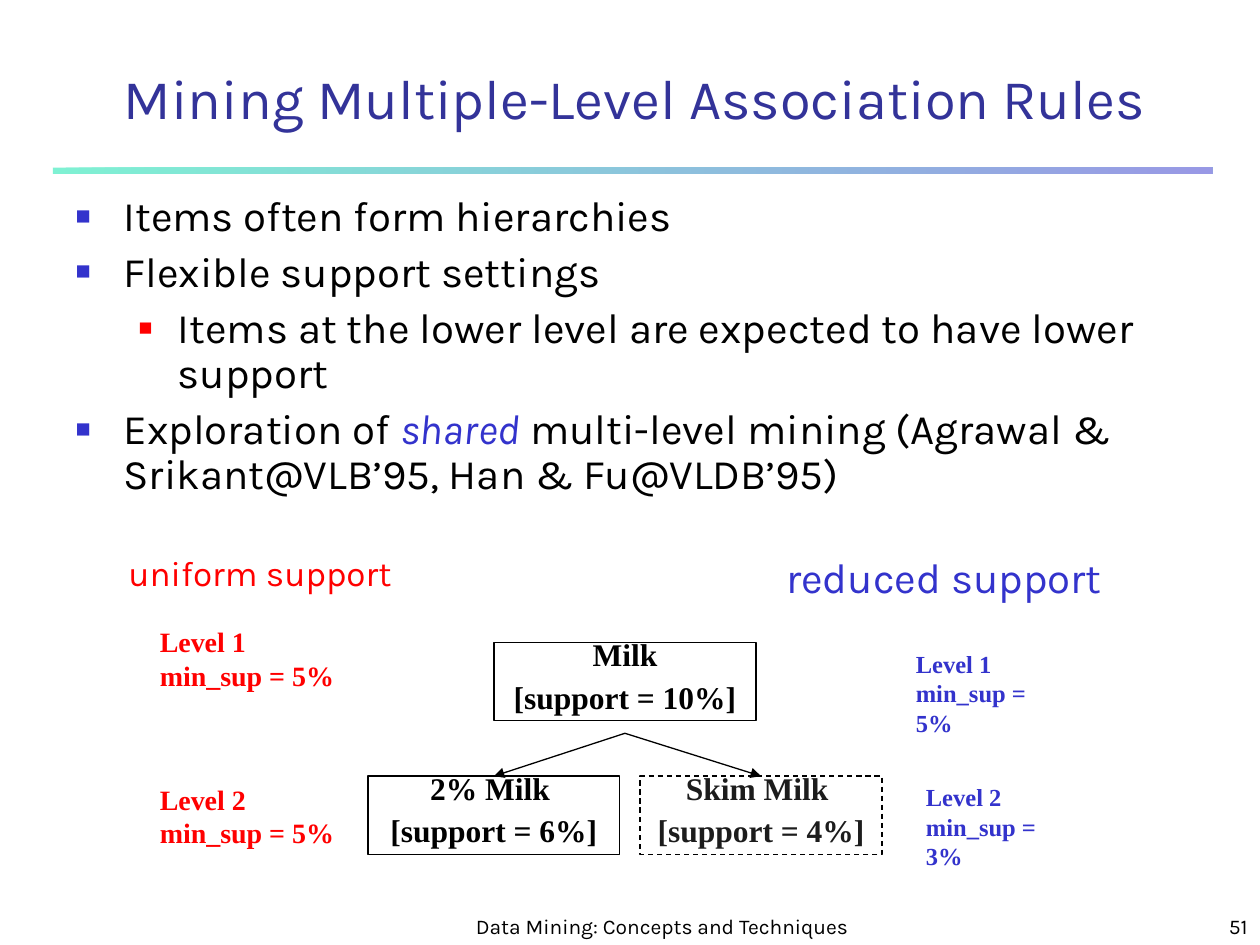
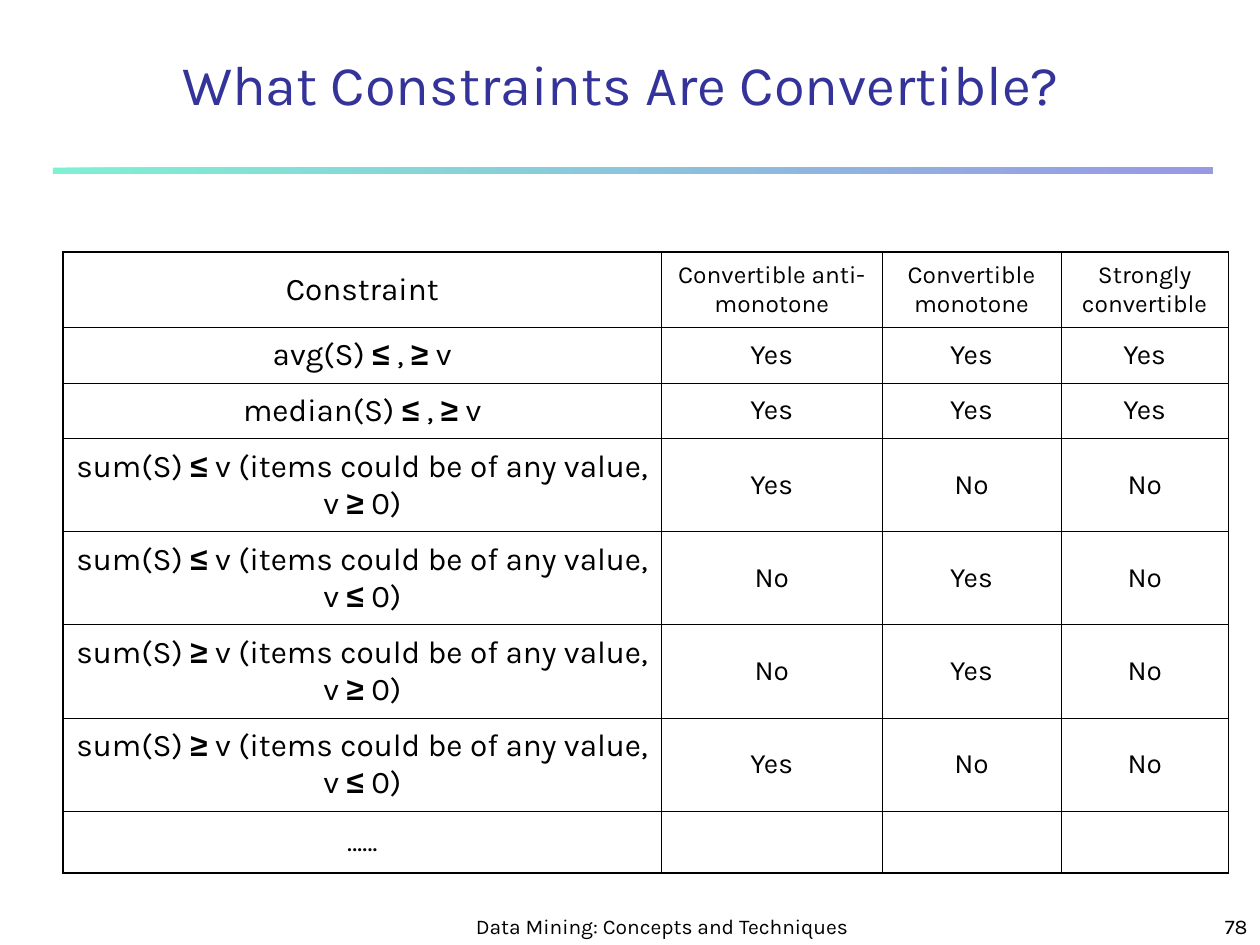
from dataclasses import dataclass
from itertools import groupby

from lxml.etree import SubElement
from pptx import Presentation
from pptx.dml.color import RGBColor as RGB
from pptx.enum.dml import MSO_LINE
from pptx.enum.shapes import MSO_CONNECTOR, MSO_SHAPE
from pptx.enum.text import MSO_ANCHOR as ANCHOR, MSO_AUTO_SIZE, PP_ALIGN as ALIGN
from pptx.oxml.ns import qn
from pptx.util import Inches, Pt


@dataclass(frozen=True)
class Theme:
    black: str = "000000"
    white: str = "FFFFFF"
    title: str = "333399"
    blue: str = "3333CC"
    red: str = "FF0000"
    mint: str = "00E4A8"
    soft_black: str = "1C1C1C"
    sans: str = "Karla"
    serif: str = "Times New Roman"
    symbol: str = "Arial"
    title_size: int = 32
    body_size: int = 24
    label_size: int = 20
    node_size: int = 18
    answer_size: int = 16
    small_size: int = 14
    footer_size: int = 12


T = Theme()


def add_run(p, text, size, color=T.black, font=T.sans, bold=False, italic=False):
    r = p.add_run()
    r.text = text
    r.font.size = Pt(size)
    r.font.name = font
    r.font.bold = bold
    r.font.italic = italic
    r.font.color.rgb = RGB.from_string(color)


def add_node(parent, tag, **attrs):
    """Append a DrawingML element to parent and return it."""
    node = SubElement(parent, qn(tag))
    for name, value in attrs.items():
        node.set(name, str(value))
    return node


prs = Presentation()
prs.slide_width, prs.slide_height = Inches(10), Inches(7.5)

# Title, gradient band and footers on every slide
slides = []
for layout, title, number, box in [
    (1, "Mining Multiple-Level Association Rules", "51", (0.75, 0.42, 8.58, 0.67)),
    (5, "What Constraints Are Convertible?", "78", (0.92, 0.33, 8.02, 0.65)),
]:
    s = prs.slides.add_slide(prs.slide_layouts[layout])
    slides.append(s)

    band = s.shapes.add_shape(MSO_SHAPE.RECTANGLE, Inches(0.42), Inches(1.33),
                              Inches(9.2), Inches(0.05))
    band.shadow.inherit = False
    band.line.fill.background()
    band.fill.gradient()
    band.fill.gradient_angle = 0
    for stop, color in zip(band.fill.gradient_stops, (T.mint, T.blue)):
        stop.color.rgb = RGB.from_string(color)
    for clr in list(band._element.spPr.iter(qn("a:srgbClr"))):
        add_node(clr, "a:alpha", val=50000)

    sp = s.shapes.title
    sp.left, sp.top, sp.width, sp.height = map(Inches, box)
    tf = sp.text_frame
    tf.auto_size = MSO_AUTO_SIZE.NONE
    tf.vertical_anchor = ANCHOR.BOTTOM
    tf.paragraphs[0].alignment = ALIGN.CENTER
    add_run(tf.paragraphs[0], title, T.title_size, T.title)

    for text, left, width, align in [
        ("Data Mining: Concepts and Techniques", 3.67, 3.17, ALIGN.CENTER),
        (number, 7.92, 2.08, ALIGN.RIGHT),
    ]:
        tf = s.shapes.add_textbox(Inches(left), Inches(7.08), Inches(width),
                                  Inches(0.42)).text_frame
        tf.word_wrap = True
        tf.vertical_anchor = ANCHOR.BOTTOM
        tf.paragraphs[0].alignment = align
        add_run(tf.paragraphs[0], text, T.footer_size)

rules, constraints = slides

# Slide 1: bullet list
bullet_styles = [(0.38, 0.38, T.blue, 60), (0.81, 0.31, T.red, 55)]
bullets = [
    (0, ["Items often form hierarchies"]),
    (0, ["Flexible support settings"]),
    (1, ["Items at the lower level are expected to have lower support"]),
    (0, ["Exploration of ", "shared",
         " multi-level mining (Agrawal & Srikant@VLB’95, Han & Fu@VLDB’95)"]),
]
body = rules.placeholders[1]
body.left, body.top, body.width, body.height = map(Inches, (0.5, 1.5, 9.17, 2.58))
tf = body.text_frame
tf.auto_size = MSO_AUTO_SIZE.NONE
for i, (level, texts) in enumerate(bullets):
    p = tf.add_paragraph() if i else tf.paragraphs[0]
    p.level = level
    margin, hang, color, percent = bullet_styles[level]
    pPr = p._p.get_or_add_pPr()
    pPr.set("marL", str(Inches(margin)))
    pPr.set("indent", str(-Inches(hang)))
    add_node(add_node(pPr, "a:buClr"), "a:srgbClr", val=color)
    add_node(pPr, "a:buSzPct", val=percent * 1000)
    add_node(pPr, "a:buFont", typeface=T.symbol)
    add_node(pPr, "a:buChar", char="■")
    p.line_spacing = 0.9
    p.space_before = Pt(6 if i else 0)
    for text in texts:
        shared = text == "shared"
        add_run(p, text, T.body_size, T.blue if shared else T.black, italic=shared)

# Slide 1: support labels left and right of the tree
for lines, box, size, color, font in [
    (["uniform support"], (0.92, 4.33, 2.67, 0.58), T.label_size, T.red, T.sans),
    (["reduced support"], (6.14, 4.33, 2.81, 0.5), T.body_size, T.blue, T.sans),
    (["Level 1", "min_sup = 5%"], (1.17, 4.91, 1.58, 0.64), T.answer_size, T.red, T.serif),
    (["Level 2", "min_sup = 5%"], (1.17, 6.16, 1.58, 0.64), T.answer_size, T.red, T.serif),
    (["Level 1", "min_sup = 5%"], (7.17, 5.1, 1.41, 0.57), T.small_size, T.blue, T.serif),
    (["Level 2", "min_sup = 3%"], (7.25, 6.16, 1.41, 0.57), T.small_size, T.blue, T.serif),
]:
    tf = rules.shapes.add_textbox(*map(Inches, box)).text_frame
    tf.word_wrap = False
    for i, line in enumerate(lines):
        p = tf.add_paragraph() if i else tf.paragraphs[0]
        add_run(p, line, size, color, font, bold=font == T.serif)

# Slide 1: milk hierarchy; the infrequent item is dashed and half transparent
nodes = []
for lines, left, top, width, frequent in [
    (["Milk", "[support = 10%]"], 3.92, 5.1, 2.08, True),
    (["2% Milk ", "[support = 6%]"], 2.92, 6.16, 2, True),
    (["Skim Milk ", "[support = 4%]"], 5.08, 6.16, 1.92, False),
]:
    sp = rules.shapes.add_shape(MSO_SHAPE.RECTANGLE, Inches(left), Inches(top),
                                Inches(width), Inches(0.62))
    nodes.append(sp)
    sp.shadow.inherit = False
    sp.fill.solid()
    sp.fill.fore_color.rgb = RGB.from_string(T.white)
    sp.line.color.rgb = RGB.from_string(T.black)
    sp.line.width = Pt(0.75)
    if not frequent:
        sp.line.dash_style = MSO_LINE.DASH
        add_node(sp._element.spPr.find(qn("a:solidFill"))[0], "a:alpha", val=50000)
    tf = sp.text_frame
    tf.word_wrap = True
    tf.vertical_anchor = ANCHOR.TOP
    for i, line in enumerate(lines):
        p = tf.add_paragraph() if i else tf.paragraphs[0]
        p.alignment = ALIGN.CENTER
        p.line_spacing = 0.6
        p.space_before = Pt(11.2 if i else 0)
        add_run(p, line, T.node_size, T.black if frequent else T.soft_black,
                T.serif, bold=True)

for child in nodes[1:]:
    arrow = rules.shapes.add_connector(MSO_CONNECTOR.STRAIGHT, Inches(4.96), Inches(5.82),
                                       child.left + child.width // 2, child.top)
    arrow.end_connect(child, 0)
    arrow.line.color.rgb = RGB.from_string(T.black)
    arrow.line.width = Pt(0.75)
    add_node(arrow.line._get_or_add_ln(), "a:tailEnd", type="triangle")
    add_node(arrow._element.spPr, "a:effectLst")

# Slide 2: constraint table
col_widths = [4.75, 1.75, 1.42, 1.33]
row_heights = [0.6, 0.44, 0.44, 0.74, 0.74, 0.74, 0.74, 0.49]
rows = [
    ("Constraint", "Convertible anti-monotone", "Convertible monotone",
     "Strongly convertible"),
    ("avg(S) ≤ , ≥ v", "Yes", "Yes", "Yes"),
    ("median(S) ≤ , ≥ v", "Yes", "Yes", "Yes"),
    ("sum(S) ≤ v (items could be of any value, v ≥ 0)", "Yes", "No", "No"),
    ("sum(S) ≤ v (items could be of any value, v ≤ 0)", "No", "Yes", "No"),
    ("sum(S) ≥ v (items could be of any value, v ≥ 0)", "No", "Yes", "No"),
    ("sum(S) ≥ v (items could be of any value, v ≤ 0)", "Yes", "No", "No"),
    ("……", "", "", ""),
]
last_row, last_col = len(rows) - 1, len(col_widths) - 1
table = constraints.shapes.add_table(
    len(rows), len(col_widths), Inches(0.5), Inches(2),
    Inches(sum(col_widths)), Inches(sum(row_heights))).table
table.first_row = table.horz_banding = False
for column, width in zip(table.columns, col_widths):
    column.width = Inches(width)
for row, height in zip(table.rows, row_heights):
    row.height = Inches(height)

for i, texts in enumerate(rows):
    for j, text in enumerate(texts):
        cell = table.cell(i, j)
        cell.vertical_anchor = ANCHOR.MIDDLE
        tcPr = cell._tc.get_or_add_tcPr()
        for side, outer in [("L", j == 0), ("R", j == last_col),
                            ("T", i == 0), ("B", i == last_row)]:
            ln = add_node(tcPr, f"a:ln{side}", w=Pt(1.08 if outer else 0.45))
            add_node(add_node(ln, "a:solidFill"), "a:srgbClr", val=T.black)
        cell.fill.background()

        if j == 0 and i < last_row:
            size = T.node_size
        else:
            size = T.answer_size if i else T.small_size
        p = cell.text_frame.paragraphs[0]
        p.alignment = ALIGN.CENTER
        for is_symbol, chars in groupby(text, key=lambda ch: ch in "≤≥"):
            add_run(p, "".join(chars), size, font=T.symbol if is_symbol else T.sans,
                    bold=is_symbol)

prs.save("out.pptx")
